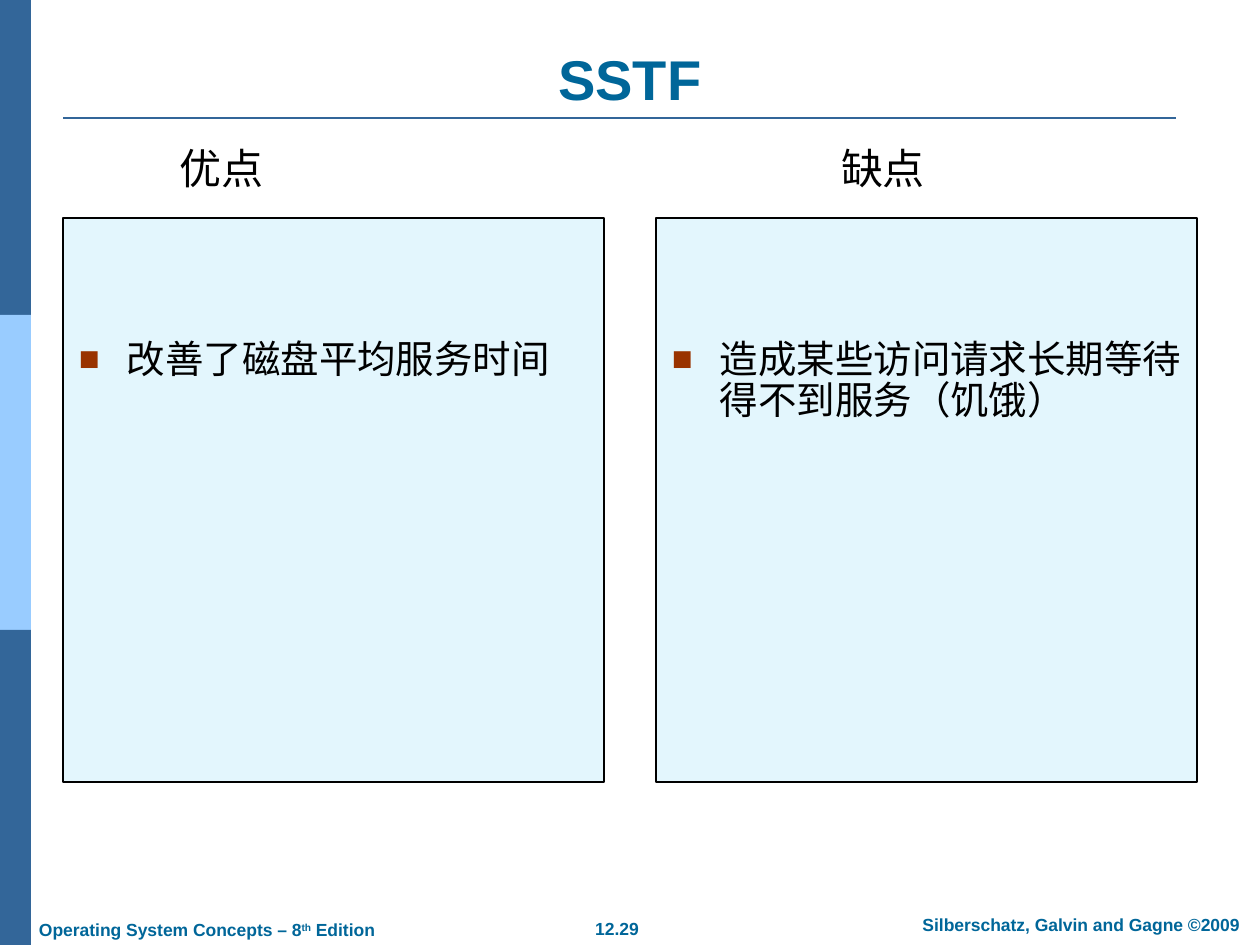
from dataclasses import dataclass

from lxml import etree
from pptx import Presentation
from pptx import util as u
from pptx.dml.color import RGBColor
from pptx.enum import shapes, text
from pptx.oxml.ns import qn

PX = u.Inches(1) / 126


def px(length):
    return u.Emu(round(length * PX))


def child(parent, tag, **attributes):
    return etree.SubElement(parent, qn(tag), attributes)


@dataclass(frozen=True)
class Theme:
    dark_band: str = "336699"
    light_band: str = "99CCFF"
    heading: str = "006699"
    body: str = "000000"
    panel: str = "00B0F0"
    panel_opacity: int = 11
    bullet: str = "993300"
    latin: str = "Arial"
    chinese: str = "Noto Sans CJK SC"
    title_size: int = 32
    label_size: int = 24
    body_size: int = 22
    footer_size: int = 10


class SlideBuilder:
    def __init__(self, slide, theme):
        self.slide = slide
        self.theme = theme

    def rect(self, x, y, w, h, fill, opacity=100, outline=None):
        box = self.slide.shapes.add_shape(
            shapes.MSO_SHAPE.RECTANGLE, px(x), px(y), px(w), px(h))
        box.shadow.inherit = False
        box.fill.solid()
        box.fill.fore_color.rgb = RGBColor.from_string(fill)
        if opacity < 100:
            color = box.fill._xPr.find(qn("a:solidFill"))[0]
            child(color, "a:alpha", val=str(opacity * 1000))
        if outline:
            box.line.color.rgb = RGBColor.from_string(outline)
            box.line.width = u.Pt(0.75)
        else:
            box.line.fill.background()

    def rule(self, x1, x2, y, color):
        line = self.slide.shapes.add_connector(
            shapes.MSO_CONNECTOR.STRAIGHT, px(x1), px(y), px(x2), px(y))
        line.line.color.rgb = RGBColor.from_string(color)
        line.line.width = u.Pt(1.5)
        child(line._element.spPr, "a:effectLst")

    def text(self, x, y, w, h, *runs, size, color, font, bold=False,
             align=text.PP_ALIGN.LEFT, anchor=text.MSO_ANCHOR.TOP,
             wrap=True, bullet=False, spacing=None):
        """Add a one-paragraph box; a run is a string or (string, raise in %)."""
        frame = self.slide.shapes.add_textbox(px(x), px(y), px(w), px(h)).text_frame
        frame.word_wrap = wrap
        frame.vertical_anchor = anchor
        frame.margin_left = frame.margin_right = px(12)
        frame.margin_top = frame.margin_bottom = px(6)
        paragraph = frame.paragraphs[0]
        paragraph.alignment = align
        if spacing:
            paragraph.line_spacing = spacing
        if bullet:
            self.bullet(paragraph)
        for item in runs:
            words, raised = item if isinstance(item, tuple) else (item, 0)
            run = paragraph.add_run()
            run.text = words
            run.font.size, run.font.bold, run.font.name = u.Pt(size), bold, font
            run.font.color.rgb = RGBColor.from_string(color)
            properties = run.font._element
            child(properties, "a:ea", typeface=font)
            if raised:
                properties.set("baseline", str(raised * 1000))

    def bullet(self, paragraph, indent=48):
        properties = paragraph._p.get_or_add_pPr()
        properties.set("marL", str(px(indent)))
        properties.set("indent", str(px(-indent)))
        child(child(properties, "a:buClr"), "a:srgbClr", val=self.theme.bullet)
        child(properties, "a:buSzPct", val="90000")
        child(properties, "a:buFont", typeface=self.theme.latin)
        child(properties, "a:buChar", char="■")

    def footer(self, x, y, w, *runs, **form):
        self.text(x, y, w, 34, *runs, size=self.theme.footer_size,
                  color=self.theme.heading, font=self.theme.latin, bold=True, **form)

    def column(self, x, label_x, label, point):
        theme = self.theme
        chinese = dict(color=theme.body, font=theme.chinese)
        self.rect(x, 218, 541, 564, theme.panel, theme.panel_opacity, theme.body)
        self.text(x + 4, 334, 541, 414, point, size=theme.body_size,
                  bullet=True, spacing=0.9, **chinese)
        self.text(label_x, 137, 108, 63, label, size=theme.label_size,
                  wrap=False, **chinese)


def main():
    deck = Presentation()
    deck.slide_width, deck.slide_height = px(1260), px(945)
    theme = Theme()
    page = SlideBuilder(deck.slides.add_slide(deck.slide_layouts[6]), theme)
    center = text.PP_ALIGN.CENTER

    for row, band in enumerate((theme.dark_band, theme.light_band, theme.dark_band)):
        page.rect(0, row * 315, 31, 315, band)
    page.rule(63, 1176, 118, theme.dark_band)
    page.text(63, 39, 1134, 79, "SSTF", size=theme.title_size, color=theme.heading,
              font=theme.latin, bold=True, align=center, anchor=text.MSO_ANCHOR.BOTTOM)

    page.column(63, 167, "优点", "改善了磁盘平均服务时间")
    page.column(656, 829, "缺点", "造成某些访问请求长期等待得不到服务（饥饿）")

    page.footer(27, 913, 360, "Operating System Concepts – 8", ("th", 30), " Edition",
                wrap=False)
    page.footer(550, 912, 134, "12.29", align=center, wrap=False)
    page.footer(894, 908, 374, "Silberschatz, Galvin and Gagne ©2009", align=center)
    deck.save("out.pptx")


if __name__ == "__main__":
    main()
